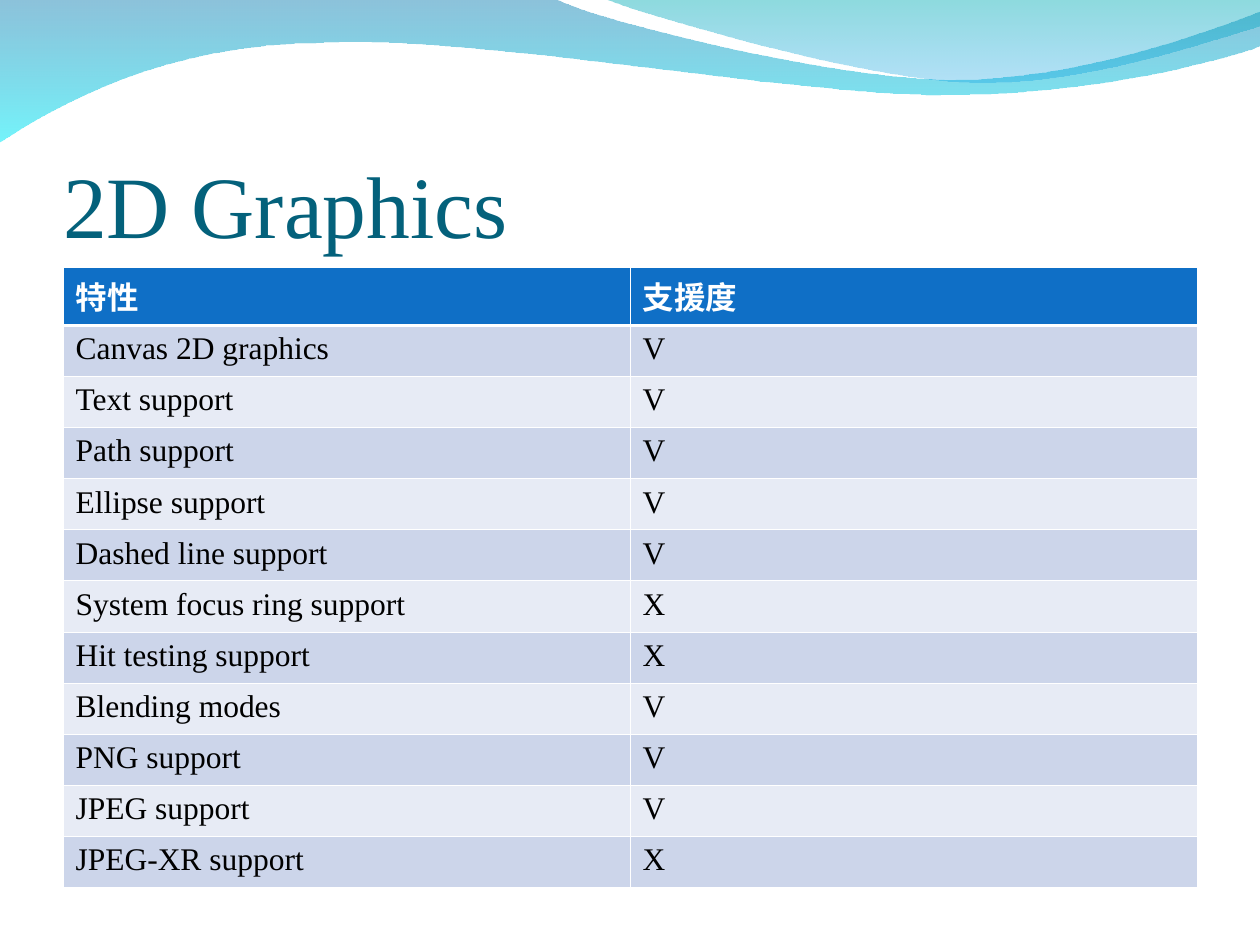
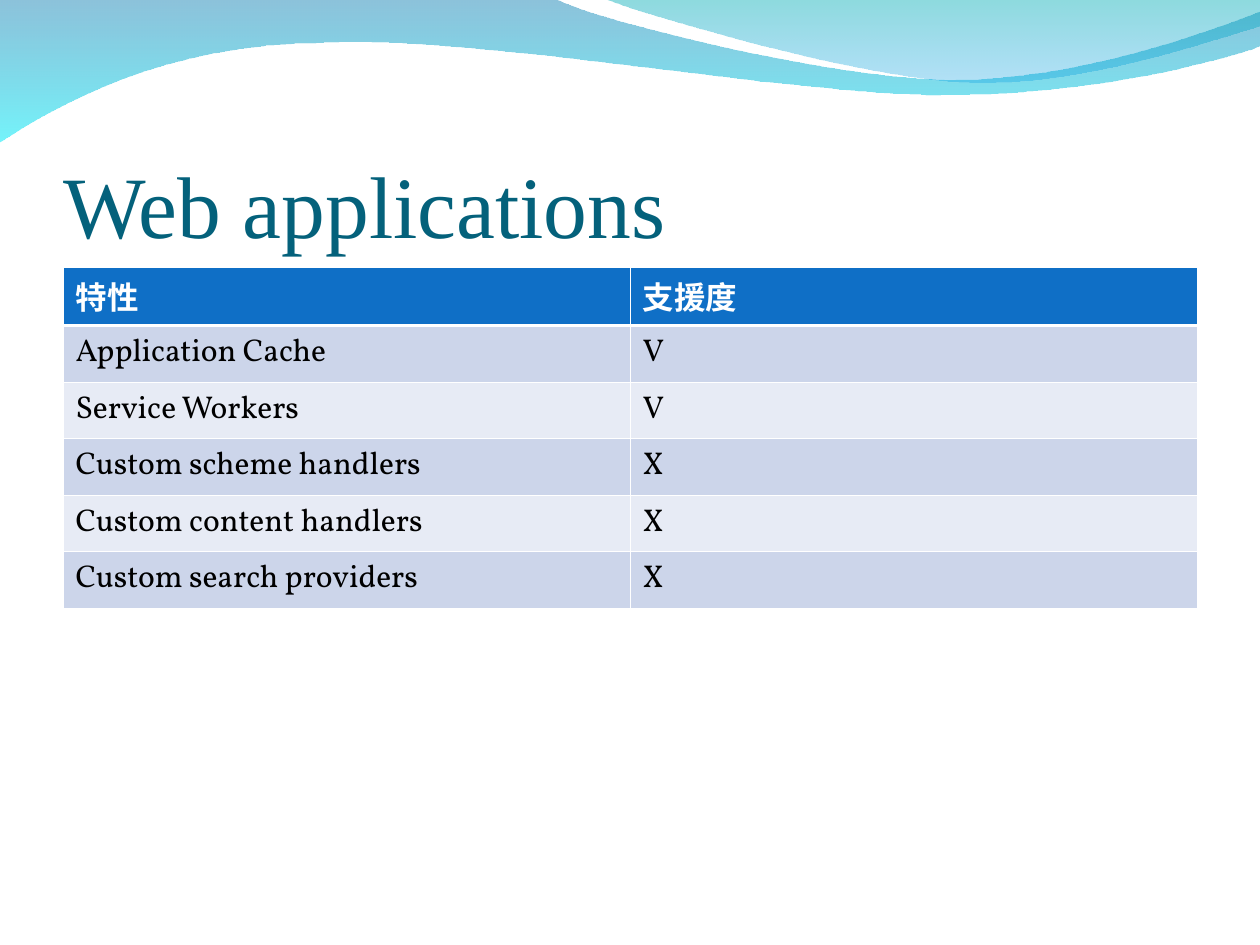
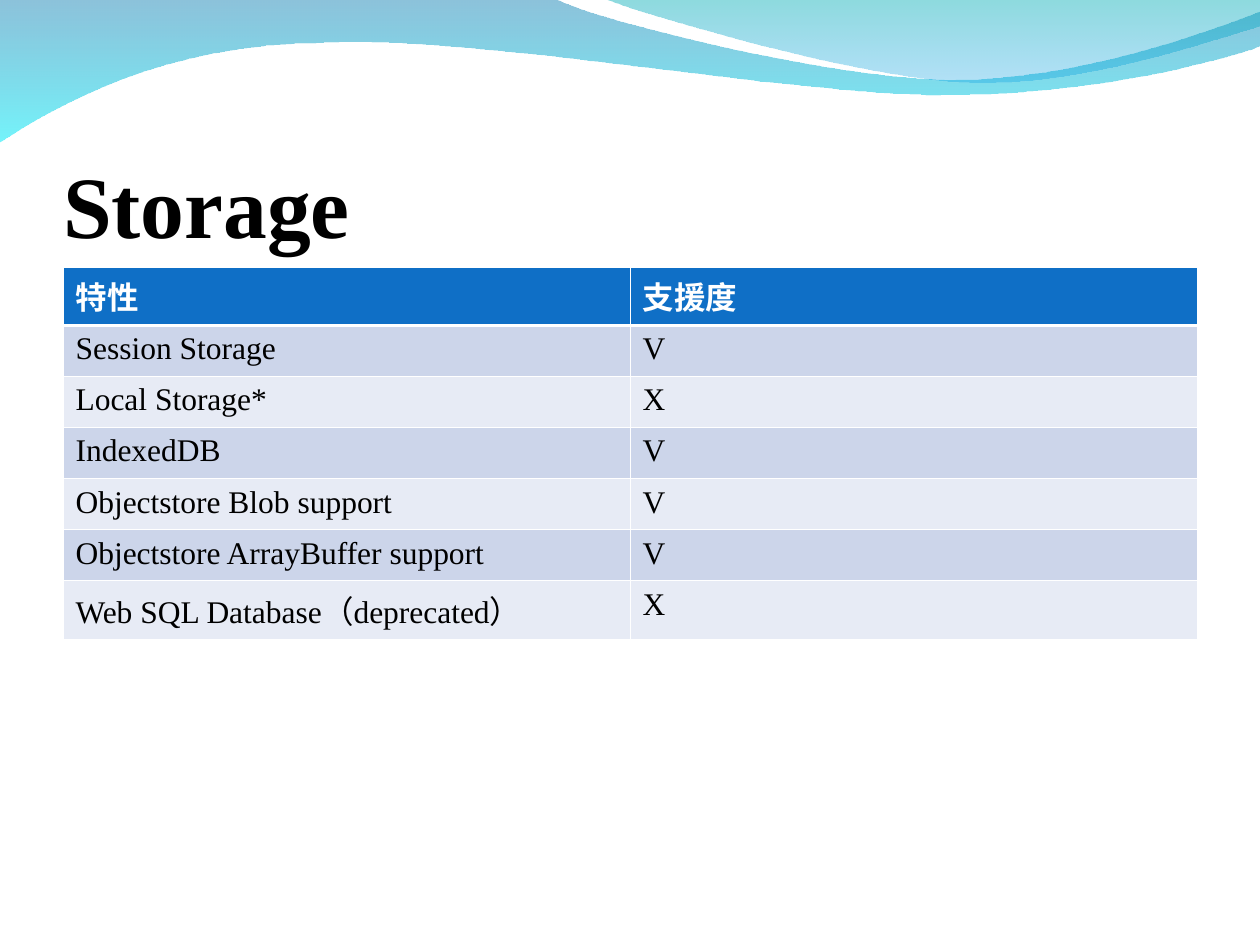
"""Build three slides of browser feature support tables under a shared wave banner."""
import lxml.etree
import pptx
import pptx.dml.color
import pptx.enum.text
import pptx.oxml.ns
import pptx.util

Inches = pptx.util.Inches
qn = pptx.oxml.ns.qn
CJK_FONT = "Noto Sans CJK SC"
TITLE = {"size": pptx.util.Pt(50), "name": "Times New Roman", "bold": False}
HEADING = {"size": pptx.util.Pt(18), "name": CJK_FONT, "bold": True}
ENTRY = {"size": pptx.util.Pt(18), "name": "Times New Roman", "bold": False}
HEADINGS = ("特性", "支援度")
HEADING_FILL = "0F6FC6"
BAND_FILLS = ("E7EBF5", "CCD5EA")
ROW_HEIGHT = Inches(4.87) // 12

WAVES = [
    {"start": (0, -0.01),
     "segments": [[(4.4, -0.01)],
                  [(4.76, 0.17), (6.64, 0.63), (7.58, 0.63)],
                  [(8.53, 0.63), (9.58, 0.26), (10, 0.09)],
                  [(10.01, 0.36)],
                  [(9.83, 0.44), (8.7, 0.76), (7.46, 0.75)],
                  [(6.22, 0.75), (3.82, 0.28), (2.57, 0.34)],
                  [(1.29, 0.35), (0.46, 0.83), (-0.01, 1.13)],
                  [(0, -0.01)]],
     "stops": [("0079AF", 45), ("00EBF8", 55)]},
    {"start": (4.79, -0.01),
     "segments": [[(5.09, 0.11), (6.82, 0.62), (7.69, 0.65)],
                  [(8.56, 0.69), (9.61, 0.32), (10, 0.21)],
                  [(10, 0)],
                  [(4.79, -0.01)]],
     "stops": [("00ADB6", 45), ("009BE5", 30)]},
]

SECTIONS = [
    {"title": "2D Graphics", "title_color": "04617B", "title_format": {}, "entry_format": {},
     "support": [("Canvas 2D graphics", "V"), ("Text support", "V"), ("Path support", "V"),
                 ("Ellipse support", "V"), ("Dashed line support", "V"),
                 ("System focus ring support", "X"), ("Hit testing support", "X"),
                 ("Blending modes", "V"), ("PNG support", "V"), ("JPEG support", "V"),
                 ("JPEG-XR support", "X")]},
    {"title": "Web applications", "title_color": "04617B", "title_format": {},
     "entry_format": {"name": "Vollkorn"},
     "support": [("Application Cache", "V"), ("Service Workers", "V"),
                 ("Custom scheme handlers", "X"), ("Custom content handlers", "X"),
                 ("Custom search providers", "X")]},
    {"title": "Storage", "title_color": "000000", "title_format": {"bold": True},
     "entry_format": {},
     "support": [("Session Storage", "V"), ("Local Storage*", "X"), ("IndexedDB", "V"),
                 ("Objectstore Blob support", "V"), ("Objectstore ArrayBuffer support", "V"),
                 ("Web SQL Database（deprecated）", "X")]},
]


def rgb(hex_color):
    """Turn a hex string into a colour."""
    return pptx.dml.color.RGBColor.from_string(hex_color)


def write(text_frame, text, hex_color, text_format):
    """Fill a text frame with one formatted run."""
    text_frame.text = text
    paragraph = text_frame.paragraphs[0]
    paragraph.alignment = pptx.enum.text.PP_ALIGN.LEFT
    font = paragraph.runs[0].font
    for attribute, value in text_format.items():
        setattr(font, attribute, value)
    font.color.rgb = rgb(hex_color)
    properties = paragraph.runs[0].font._element
    lxml.etree.SubElement(properties, qn("a:ea"), typeface=CJK_FONT)


presentation = pptx.Presentation()
presentation.slide_width = Inches(10)
presentation.slide_height = Inches(7.5)

layout = presentation.slide_layouts[5]
heading_area, *footers = layout.placeholders
for footer in footers:
    layout.shapes.element.remove(footer.element)
for attribute, length in {"left": 0.5, "top": 0.78, "width": 9, "height": 1.25}.items():
    setattr(heading_area, attribute, Inches(length))
for attribute, value in {"margin_left": 0, "margin_top": Inches(0.05), "margin_right": 0,
                         "margin_bottom": 0, "word_wrap": True,
                         "auto_size": pptx.enum.text.MSO_AUTO_SIZE.NONE,
                         "vertical_anchor": pptx.enum.text.MSO_ANCHOR.BOTTOM}.items():
    setattr(heading_area.text_frame, attribute, value)

slides = [presentation.slides.add_slide(layout) for _ in SECTIONS]

for order, outline in enumerate(WAVES):
    builder = slides[0].shapes.build_freeform(*map(Inches, outline["start"]))
    builder.add_line_segments([(Inches(x), Inches(y))
                               for segment in outline["segments"] for x, y in segment])
    wave = builder.convert_to_shape()
    straight_steps = iter(list(wave.element.iter(qn("a:lnTo"))))
    for segment in outline["segments"]:
        steps = [next(straight_steps) for _ in segment]
        if len(steps) == 3:
            curve = lxml.etree.Element(qn("a:cubicBezTo"))
            steps[0].addprevious(curve)
            for step in steps:
                curve.append(step[0])
                step.getparent().remove(step)
    wave.shadow.inherit = False
    wave.line.fill.background()
    wave.fill.gradient()
    wave.fill.gradient_angle = 270
    for stop, (hex_color, opacity) in zip(wave.fill.gradient_stops, outline["stops"]):
        stop.color.rgb = rgb(hex_color)
        color = stop._element.find(qn("a:srgbClr"))
        lxml.etree.SubElement(color, qn("a:alpha"), val=str(opacity * 1000))
    wave.element.nvSpPr.cNvPr.set("id", str(20 + order))
    layout.shapes.element.insert(2 + order, wave.element)

for slide, section in zip(slides, SECTIONS):
    write(slide.shapes.title.text_frame, section["title"], section["title_color"],
          TITLE | section["title_format"])
    rows = [HEADINGS, *section["support"]]
    support_table = slide.shapes.add_table(len(rows), len(HEADINGS), Inches(0.5), Inches(2.12),
                                           Inches(9), ROW_HEIGHT * len(rows)).table
    for row_index, row in enumerate(rows):
        is_heading = row_index == 0
        for column_index, text in enumerate(row):
            cell = support_table.cell(row_index, column_index)
            write(cell.text_frame, text, "FFFFFF" if is_heading else "000000",
                  HEADING if is_heading else ENTRY | section["entry_format"])
            cell_properties = cell._tc.get_or_add_tcPr()
            thick_edge = {0: "a:lnB", 1: "a:lnT"}.get(row_index)
            for edge in ("a:lnL", "a:lnR", "a:lnT", "a:lnB"):
                width = pptx.util.Pt(1.47 if edge == thick_edge else 0.45)
                border = lxml.etree.SubElement(cell_properties, qn(edge), w=str(width))
                border_fill = lxml.etree.SubElement(border, qn("a:solidFill"))
                lxml.etree.SubElement(border_fill, qn("a:srgbClr"), val="FFFFFF")
            cell.fill.solid()
            cell.fill.fore_color.rgb = rgb(HEADING_FILL if is_heading
                                           else BAND_FILLS[row_index % 2])

presentation.save("out.pptx")
